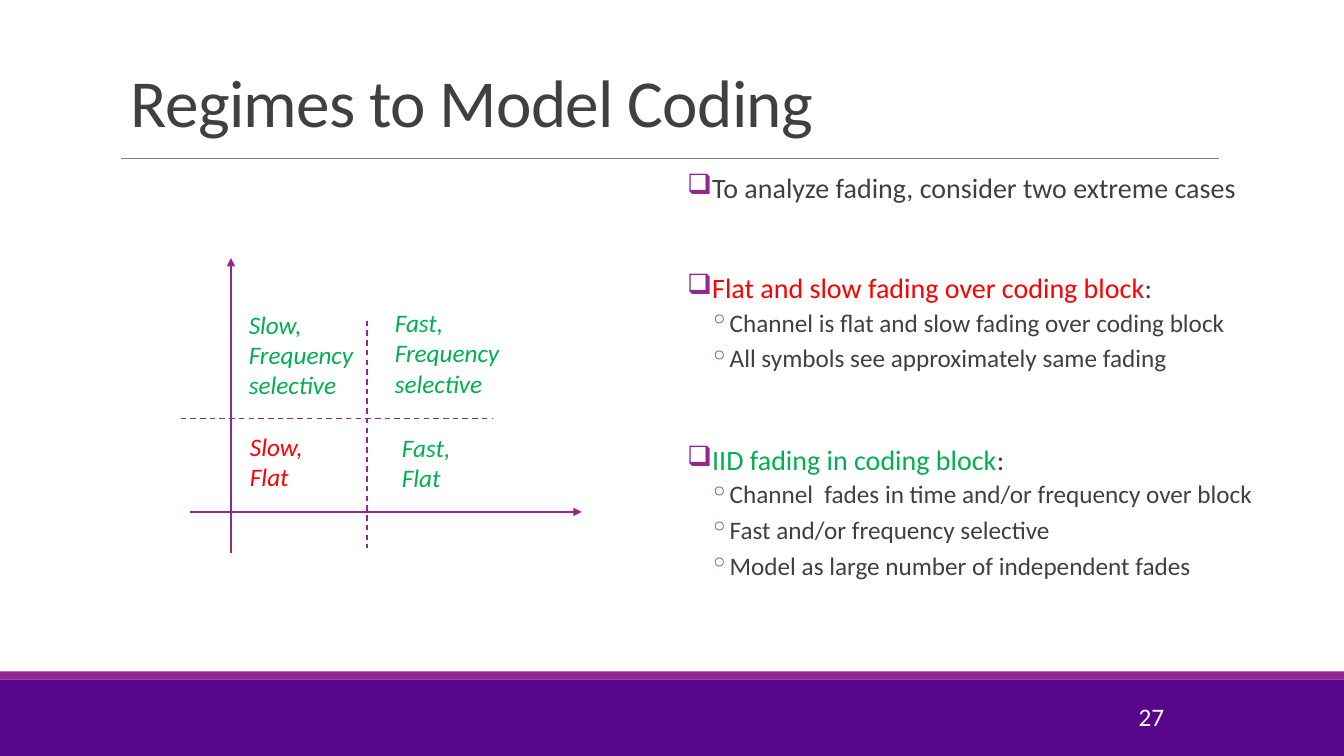
from pptx import Presentation
from pptx.dml.color import RGBColor
from pptx.enum.dml import MSO_LINE_DASH_STYLE as DASH
from pptx.enum.shapes import MSO_CONNECTOR as CONN, MSO_SHAPE as SHAPE
from pptx.enum.text import MSO_ANCHOR as ANCHOR, PP_ALIGN as ALIGN
from pptx.oxml.ns import qn
from pptx.util import Cm, Pt
from lxml.etree import SubElement

PURPLE, VIOLET, GRAY = "92278F", "57068C", "808080"
TEXT, WHITE, RED, GREEN = "404040", "FFFFFF", "FF0000", "00B050"


def rgb(value):
    return RGBColor.from_string(value)


class SlideStyle:
    font_name = "Calibri"
    levels = [
        dict(char="❑", size=20, margin=0.25, hang=0.25, before=12, after=2),
        dict(char="◦", size=18, margin=1.07, hang=0.51, before=2, after=4),
    ]

    def __init__(self, s):
        self.s = s

    def bar(self, x, y, w, h, color):
        sp = self.s.shapes.add_shape(SHAPE.RECTANGLE, Cm(x), Cm(y), Cm(w), Cm(h))
        sp.shadow.inherit = False
        sp.fill.solid()
        sp.fill.fore_color.rgb = rgb(color)
        sp.line.fill.background()

    def line(self, x1, y1, x2, y2, color, width, dashed=False, arrow=False):
        sp = self.s.shapes.add_connector(CONN.STRAIGHT, Cm(x1), Cm(y1), Cm(x2), Cm(y2))
        sp.line.color.rgb = rgb(color)
        sp.line.width = Pt(width)
        if dashed:
            sp.line.dash_style = DASH.DASH
        if arrow:
            SubElement(sp.line._get_or_add_ln(), qn("a:tailEnd"), type="triangle")
        SubElement(sp._element.spPr, qn("a:effectLst"))

    def box(self, x, y, w, h, **frame):
        tf = self.s.shapes.add_textbox(Cm(x), Cm(y), Cm(w), Cm(h)).text_frame
        for name, value in dict(word_wrap=True, **frame).items():
            setattr(tf, name, value)
        return tf

    def run(self, p, text, color, size, **font):
        r = p.add_run()
        r.text = text
        r.font.color.rgb = rgb(color)
        for name, value in dict(name=self.font_name, size=Pt(size), **font).items():
            setattr(r.font, name, value)
        return r

    def title(self, x, y, w, h, text):
        p = self.box(x, y, w, h, vertical_anchor=ANCHOR.BOTTOM).paragraphs[0]
        p.line_spacing = 0.85
        r = self.run(p, text, TEXT, 48)
        r.font._element.set("spc", "-50")

    def number(self, x, y, w, h, text):
        p = self.box(x, y, w, h, vertical_anchor=ANCHOR.MIDDLE).paragraphs[0]
        p.alignment = ALIGN.RIGHT
        self.run(p, text, WHITE, 18)

    def label(self, x, y, w, h, lines, color):
        p = self.box(x, y, w, h).paragraphs[0]
        for i, text in enumerate(lines):
            if i:
                p.add_line_break()
            self.run(p, text, color, 18, italic=True)

    def bullets(self, x, y, w, h, items):
        tf = self.box(x, y, w, h, margin_left=0, margin_right=0)
        for i, (level, before, runs) in enumerate(items):
            look = self.levels[level]
            p = tf.add_paragraph() if i else tf.paragraphs[0]
            pPr = p._p.get_or_add_pPr()
            pPr.set("marL", str(Cm(look["margin"])))
            pPr.set("indent", str(-Cm(look["hang"])))
            buClr = SubElement(pPr, qn("a:buClr"))
            SubElement(buClr, qn("a:srgbClr"), val=PURPLE)
            SubElement(pPr, qn("a:buChar"), char=look["char"])
            space = look["before"] if before is None else before
            form = dict(level=level, line_spacing=0.9,
                        space_before=Pt(space), space_after=Pt(look["after"]))
            for name, value in form.items():
                setattr(p, name, value)
            for text, color in runs:
                self.run(p, text, color, look["size"])


def main():
    prs = Presentation()
    prs.slide_width, prs.slide_height = Cm(33.87), Cm(19.05)
    style = SlideStyle(prs.slides.add_slide(prs.slide_layouts[6]))

    style.bar(0, 17.12, 33.87, 1.93, VIOLET)
    style.bar(0, 16.92, 33.87, 0.2, PURPLE)
    style.line(3.05, 3.99, 30.73, 3.99, GRAY, 0.5)
    style.title(3.05, 0.79, 27.94, 2.9, "Regimes to Model Coding")
    style.number(25.96, 17.55, 3.63, 1.02, "27")

    for ends in [(4.78, 12.9, 14.66, 12.9), (5.82, 13.94, 5.82, 6.5)]:
        style.line(*ends, PURPLE, 1.75, arrow=True)
    for ends in [(9.25, 8.08, 9.25, 13.82), (4.55, 10.54, 12.4, 10.54)]:
        style.line(*ends, PURPLE, 1, dashed=True)

    selective = ["Frequency", "selective"]
    style.label(9.7, 7.62, 5.64, 2.57, ["Fast,"] + selective, GREEN)
    style.label(6.02, 7.67, 5.64, 2.57, ["Slow,"] + selective, GREEN)
    style.label(6.05, 10.74, 2.39, 1.8, ["Slow,", "Flat"], RED)
    style.label(9.88, 10.77, 2.39, 1.8, ["Fast,", "Flat"], GREEN)

    style.bullets(17.32, 4.27, 15.29, 12.04, [
        (0, 0, [("To analyze fading, consider two extreme cases", TEXT)]),
        (0, 48, [("Flat and slow fading over coding block", RED), (":", TEXT)]),
        (1, None, [("Channel is flat and slow fading over coding block", TEXT)]),
        (1, None, [("All symbols see approximately same fading", TEXT)]),
        (0, 48, [("IID fading in coding block", GREEN), (":", TEXT)]),
        (1, None, [("Channel  fades in time and/or frequency over block", TEXT)]),
        (1, None, [("Fast and/or frequency selective", TEXT)]),
        (1, None, [("Model as large number of independent fades", TEXT)]),
    ])
    prs.save("out.pptx")


if __name__ == "__main__":
    main()
